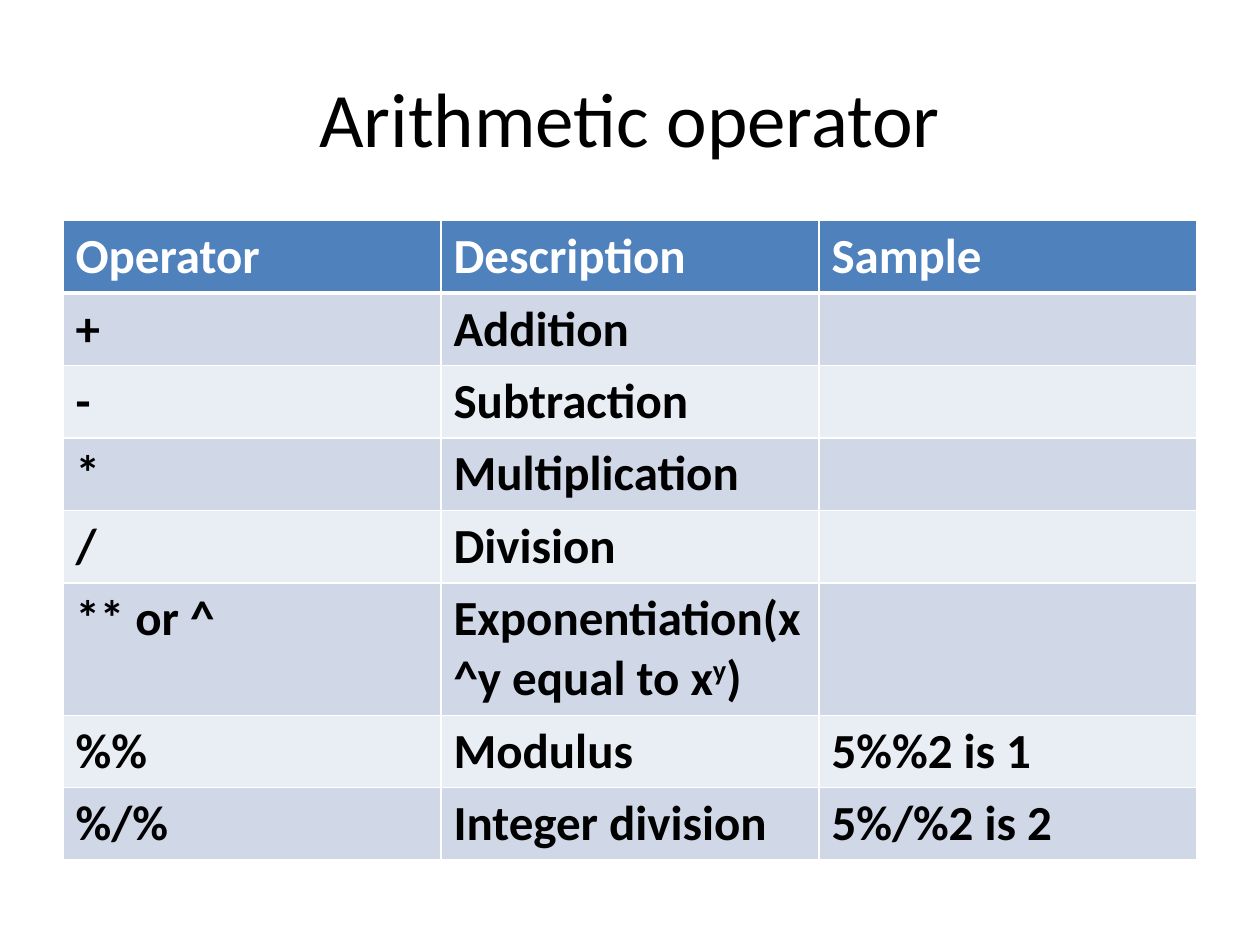
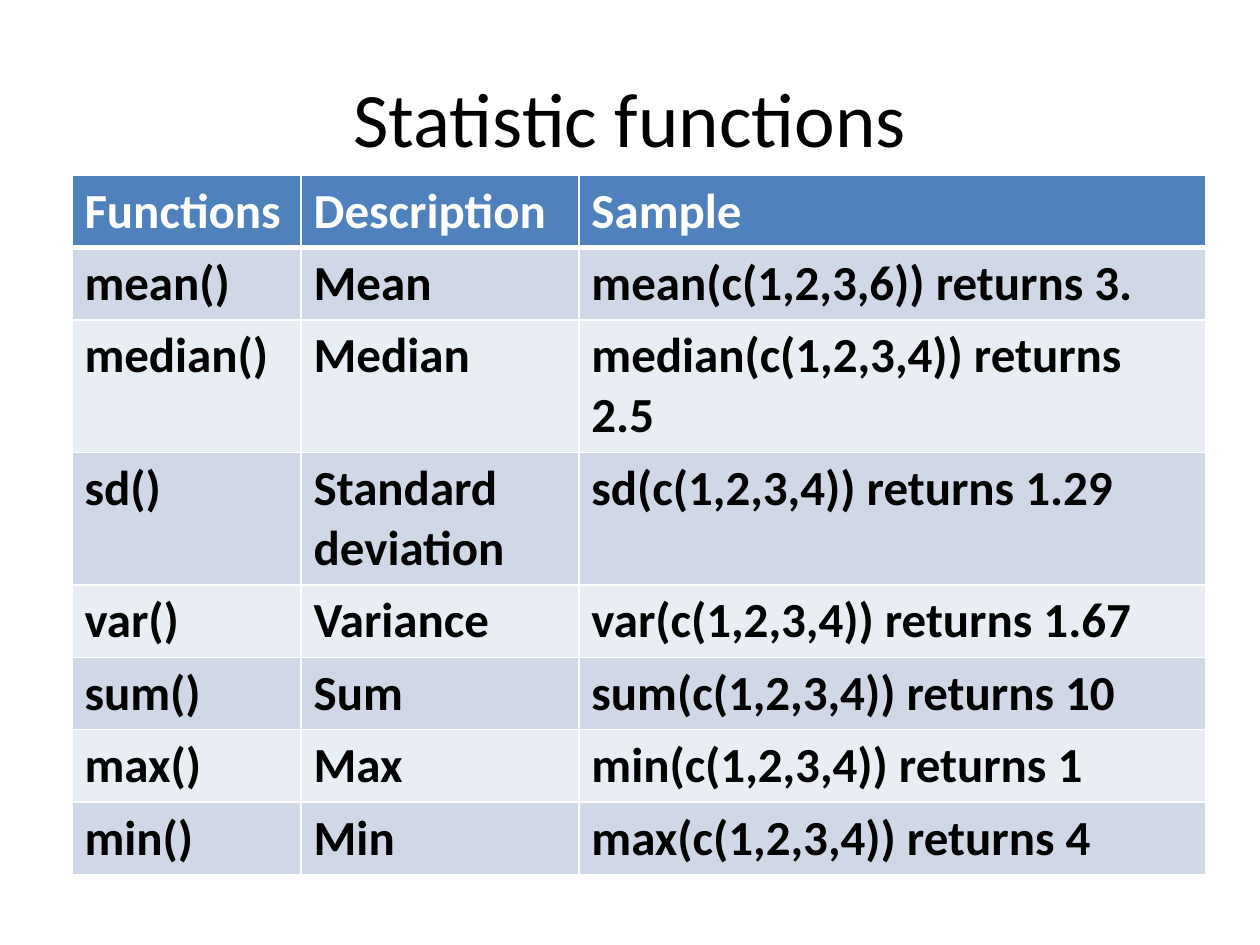
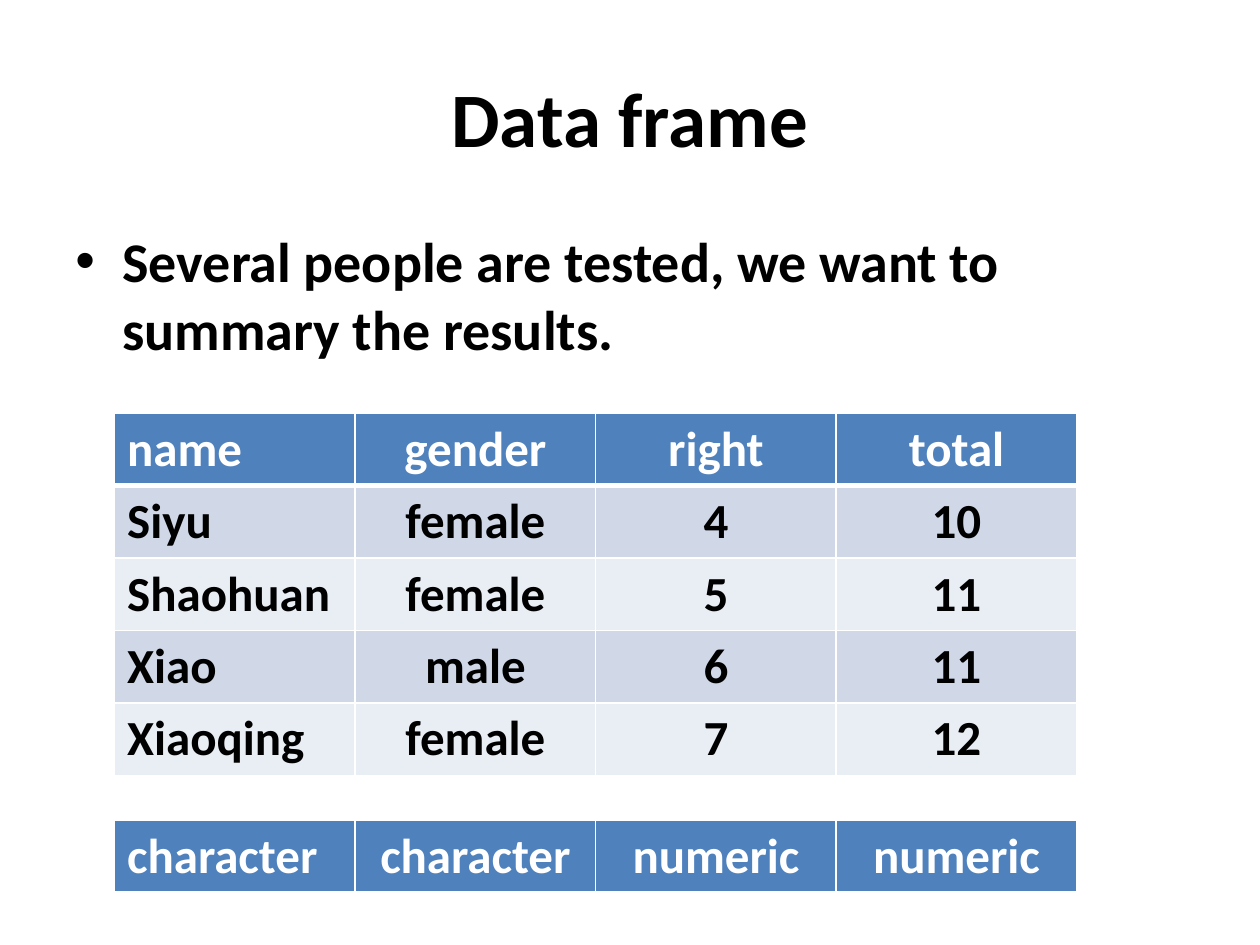
import dataclasses
import typing

import pptx
import pptx.dml.color
import pptx.enum.text
import pptx.oxml
import pptx.oxml.ns
import pptx.util

Cm = pptx.util.Cm
Pt = pptx.util.Pt
Align = pptx.enum.text.PP_ALIGN
Anchor = pptx.enum.text.MSO_ANCHOR
Parts = typing.Union[str, tuple[str, ...]]


@dataclasses.dataclass(frozen=True)
class Theme:
    font: str = "Calibri"
    ink: str = "000000"
    white: str = "FFFFFF"
    head: str = "4F81BD"
    bands: tuple[str, str] = ("D0D8E8", "E9EDF4")
    title: int = 44
    body: int = 32
    cell: int = 28
    thin: int = 1
    thick: int = 3
    row: float = 1.46
    tall: float = 2.67


@dataclasses.dataclass(frozen=True)
class Box:
    left: float
    top: float
    width: float
    height: float


@dataclasses.dataclass(frozen=True)
class Grid:
    left: float
    top: float
    cols: tuple[float, ...]
    rows: tuple[tuple[Parts, ...], ...]
    tall: tuple[int, ...] = ()
    center: bool = False


THEME = Theme()
TITLE = Box(1.27, 0.76, 22.86, 3.18)
BODY = Box(1.27, 4.45, 22.86, 12.57)
HANG = Cm(0.95)

MATH = Grid(1.27, 4.45, (7.62,) * 3, (
    ("Operator", "Description", "Sample"),
    ("+", "Addition", ""),
    ("-", "Subtraction", ""),
    ("*", "Multiplication", ""),
    ("/", "Division", ""),
    ("** or ^", ("Exponentiation(x^y equal to x", "y", ")"), ""),
    ("%%", "Modulus", "5%%2 is 1"),
    ("%/%", "Integer division", "5%/%2 is 2"),
), tall=(5,))

STATS = Grid(1.45, 3.53, (4.62, 5.6, 12.64), (
    ("Functions", "Description", "Sample"),
    ("mean()", "Mean", "mean(c(1,2,3,6)) returns 3."),
    ("median()", "Median", "median(c(1,2,3,4)) returns 2.5"),
    ("sd()", "Standard deviation", "sd(c(1,2,3,4)) returns 1.29"),
    ("var()", "Variance", "var(c(1,2,3,4)) returns 1.67"),
    ("sum()", "Sum", "sum(c(1,2,3,4)) returns 10"),
    ("max()", "Max", "min(c(1,2,3,4)) returns 1"),
    ("min()", "Min", "max(c(1,2,3,4)) returns 4"),
), tall=(2, 3))

PEOPLE = Grid(2.31, 8.33, (4.85,) * 4, (
    ("name", "gender", "right", "total"),
    ("Siyu", "female", "4", "10"),
    ("Shaohuan", "female", "5", "11"),
    ("Xiao", "male", "6", "11"),
    ("Xiaoqing", "female", "7", "12"),
), center=True)

TYPES = Grid(2.31, 16.54, (4.85,) * 4, (
    ("character", "character", "numeric", "numeric"),
), center=True)


def tint(code: str) -> pptx.dml.color.RGBColor:
    return pptx.dml.color.RGBColor.from_string(code)


def node(parent, tag: str, **attrs: str):
    item = pptx.oxml.parse_xml(f"<{tag} {pptx.oxml.ns.nsdecls('a')}/>")
    for key, value in attrs.items():
        item.set(key, value)
    parent.append(item)
    return item


def write(frame, text: Parts, *, size: int, color: str = THEME.ink,
          bold: bool = False, align: Align = Align.LEFT,
          bullet: bool = False) -> None:
    para = frame.paragraphs[0]
    para.alignment = align
    if bullet:
        props = para._p.get_or_add_pPr()
        props.set("marL", str(HANG))
        props.set("indent", str(-HANG))
        node(props, "a:buFont", typeface="Arial")
        node(props, "a:buChar", char="•")
    parts = (text,) if isinstance(text, str) else text
    for index, part in enumerate(parts):
        run = para.add_run()
        run.text = part
        run.font.name = THEME.font
        run.font.size = Pt(size)
        run.font.bold = bold
        run.font.color.rgb = tint(color)
        if index % 2:
            run._r.get_or_add_rPr().set("baseline", "30000")


def label(slide, box: Box, text: str, anchor: Anchor = Anchor.TOP,
          **style: typing.Any) -> None:
    shape = slide.shapes.add_textbox(
        Cm(box.left), Cm(box.top), Cm(box.width), Cm(box.height))
    frame = shape.text_frame
    frame.word_wrap = True
    frame.vertical_anchor = anchor
    write(frame, text, **style)


def edge(cell, row: int) -> None:
    props = cell._tc.get_or_add_tcPr()
    heavy = {0: "B", 1: "T"}.get(row)
    for side in "LRTB":
        width = THEME.thick if side == heavy else THEME.thin
        line = node(props, f"a:ln{side}", w=str(Pt(width)))
        node(node(line, "a:solidFill"), "a:srgbClr", val=THEME.white)


def draw(slide, grid: Grid) -> None:
    high = [THEME.tall if row in grid.tall else THEME.row
            for row in range(len(grid.rows))]
    table = slide.shapes.add_table(
        len(grid.rows), len(grid.cols), Cm(grid.left), Cm(grid.top),
        Cm(sum(grid.cols)), Cm(sum(high))).table
    for col, width in enumerate(grid.cols):
        table.columns[col].width = Cm(width)
    for row, texts in enumerate(grid.rows):
        table.rows[row].height = Cm(high[row])
        for col, text in enumerate(texts):
            cell = table.cell(row, col)
            edge(cell, row)
            cell.fill.solid()
            cell.fill.fore_color.rgb = tint(
                THEME.bands[(row - 1) % 2] if row else THEME.head)
            if text:
                write(cell.text_frame, text, size=THEME.cell, bold=True,
                      color=THEME.ink if row else THEME.white,
                      align=Align.CENTER if grid.center and col else Align.LEFT)


def page(deck, title: str, *grids: Grid, bold: bool = False,
         point: str = "") -> None:
    slide = deck.slides.add_slide(deck.slide_layouts[6])
    label(slide, TITLE, title, Anchor.MIDDLE, size=THEME.title,
          bold=bold, align=Align.CENTER)
    if point:
        label(slide, BODY, point, size=THEME.body, bold=True, bullet=True)
    for grid in grids:
        draw(slide, grid)


def main() -> None:
    deck = pptx.Presentation()
    deck.slide_width = Cm(25.4)
    deck.slide_height = Cm(19.05)
    page(deck, "Arithmetic operator", MATH)
    page(deck, "Statistic functions", STATS)
    page(deck, "Data frame", PEOPLE, TYPES, bold=True,
         point="Several people are tested, we want to summary the results.")
    deck.save("out.pptx")


if __name__ == "__main__":
    main()
